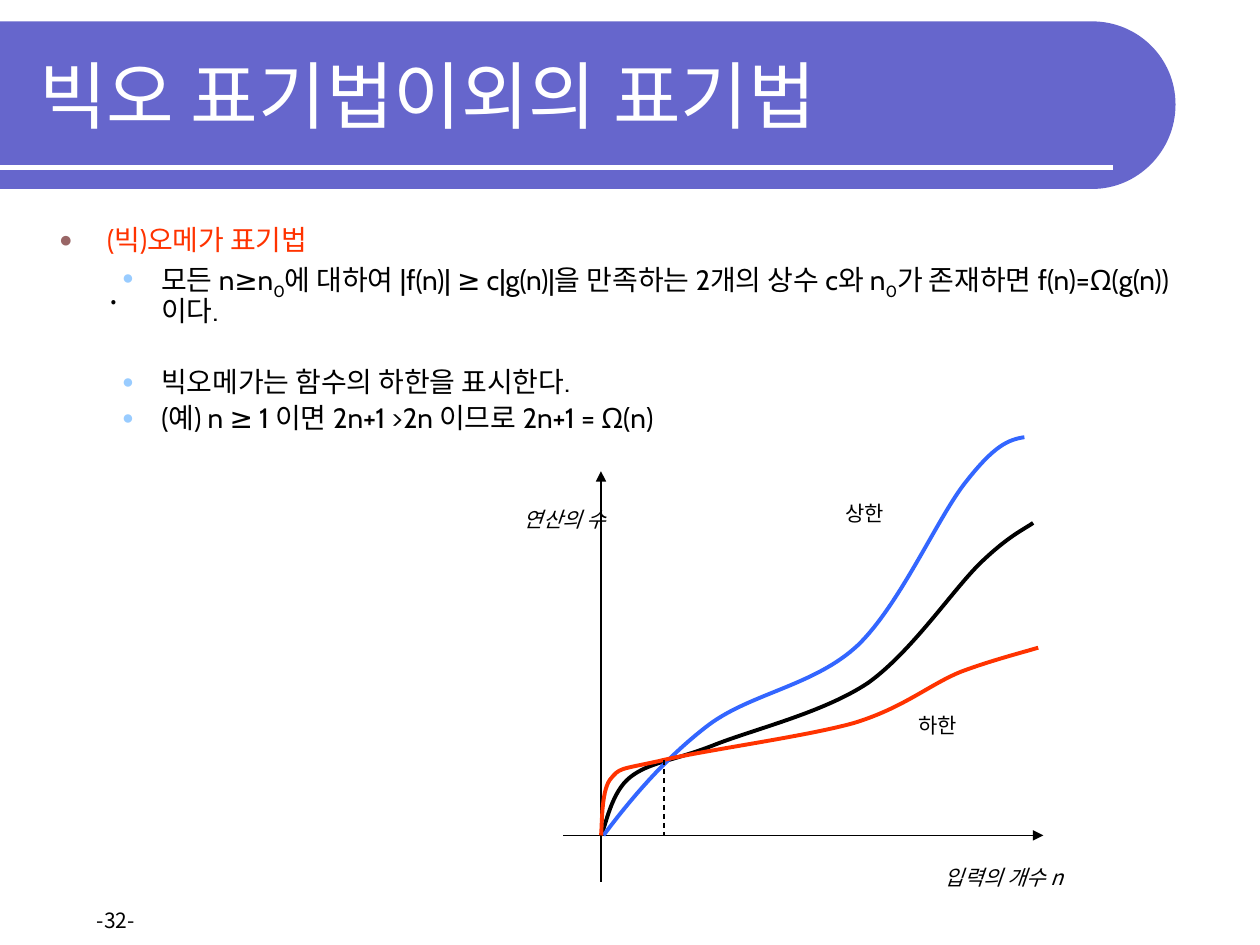
from pptx import Presentation
from pptx.dml.color import RGBColor
from pptx.enum.dml import MSO_LINE
from pptx.enum.shapes import MSO_CONNECTOR
from pptx.enum.text import MSO_ANCHOR, MSO_AUTO_SIZE, PP_ALIGN
from pptx.oxml.ns import qn
from pptx.util import Pt
from lxml.etree import SubElement

PX = 9144
WHITE = RGBColor(0xFF, 0xFF, 0xFF)
BLACK = RGBColor(0, 0, 0)
VIOLET = RGBColor(0x66, 0x66, 0xCC)
BLUE = RGBColor(0x33, 0x66, 0xFF)
RED = RGBColor(0xFF, 0x33, 0x00)
MAUVE = RGBColor(0x99, 0x66, 0x66)
SKY = RGBColor(0x99, 0xCC, 0xFF)
CABIN, NOTO = "Cabin", "Noto Sans CJK KR"


def add_run(p, text, size=16, font=CABIN, color=BLACK, italic=None, sub=False):
    r = p.add_run()
    r.text = text
    f = r.font
    f.size, f.name, f.italic = Pt(size), font, italic
    f.color.rgb = color
    rPr = r._r.get_or_add_rPr()
    SubElement(rPr, qn("a:ea"), typeface=CABIN)
    if sub:
        rPr.set("baseline", "-25000")


def bend(sp, first, count):
    segments = list(sp.element.iter(qn("a:lnTo")))[first:first + count]
    for i in range(0, count, 3):
        curve = segments[i].makeelement(qn("a:cubicBezTo"))
        segments[i].addprevious(curve)
        for seg in segments[i:i + 3]:
            curve.append(seg[0])
            seg.getparent().remove(seg)


class Deck:
    """Holds the presentation, its current slide and the drawing style."""

    def __init__(self):
        self.prs = Presentation()
        self.prs.slide_width, self.prs.slide_height = 1000 * PX, 750 * PX
        self.s = self.prs.slides.add_slide(self.prs.slide_layouts[1])

    def place(self, sp, x, y, w, h):
        sp.left, sp.top, sp.width, sp.height = (v * PX for v in (x, y, w, h))
        sp.text_frame.auto_size = MSO_AUTO_SIZE.NONE
        return sp.text_frame

    def title(self, text, box):
        tf = self.place(self.s.shapes.title, *box)
        tf.vertical_anchor = MSO_ANCHOR.MIDDLE
        p = tf.paragraphs[0]
        p.alignment = PP_ALIGN.LEFT
        add_run(p, text, size=42, color=WHITE)

    def body(self, items, box):
        tf = self.place(self.s.placeholders[1], *box)
        for i, (level, before, color, runs) in enumerate(items):
            p = tf.add_paragraph() if i else tf.paragraphs[0]
            left, hang, dot, pct = ((38, 38, MAUVE, 80), (81, 31, SKY, 70))[level]
            p.level, p.line_spacing, p.space_before = level, 0.9, Pt(before)
            pPr = p._p.get_or_add_pPr()
            pPr.set("marL", str(left * PX))
            pPr.set("indent", str(-hang * PX))
            SubElement(SubElement(pPr, qn("a:buClr")), qn("a:srgbClr"), val=str(dot))
            SubElement(pPr, qn("a:buSzPct"), val=str(pct * 1000))
            SubElement(pPr, qn("a:buChar"), char="●")
            for k, text in enumerate(runs):
                add_run(p, text, color=color, sub=k % 2 == 1)

    def label(self, text, box, size=12, italic=None, wrap=False):
        tf = self.place(self.s.shapes.add_textbox(0, 0, 0, 0), *box)
        tf.word_wrap = wrap
        add_run(tf.paragraphs[0], text, size=size, font=NOTO, italic=italic)

    def line(self, x1, y1, x2, y2, color=BLACK, width=0.75, arrow=None, dash=None):
        cx = self.s.shapes.add_connector(MSO_CONNECTOR.STRAIGHT, *(v * PX for v in (x1, y1, x2, y2)))
        cx.line.color.rgb, cx.line.width = color, Pt(width)
        if dash:
            cx.line.dash_style = dash
        if arrow:
            SubElement(cx.line._get_or_add_ln(), qn(arrow), type="triangle")
        SubElement(cx._element.spPr, qn("a:effectLst"))
        return cx

    def outline(self, points, fill=None):
        fb = self.s.shapes.build_freeform(*points[0], scale=PX)
        fb.add_line_segments(points[1:], close=fill is not None)
        sp = fb.convert_to_shape()
        sp.shadow.inherit = False
        return sp

    def curve(self, points, color):
        sp = self.outline(points)
        bend(sp, 0, len(points) - 1)
        sp.fill.background()
        sp.line.color.rgb, sp.line.width = color, Pt(2.25)

    def banner(self):
        band = self.outline([(0, 17), (867, 17), (903, 17), (933, 46), (933, 83),
                             (933, 120), (903, 150), (867, 150), (0, 150)], VIOLET)
        bend(band, 1, 6)
        band.fill.solid()
        band.fill.fore_color.rgb = VIOLET
        band.line.fill.background()
        rule = self.line(0, 133, 883, 133, WHITE, 3)
        for sp in (band, rule):
            self.s.shapes.title.element.addprevious(sp.element)


CURVES = (
    (BLACK, [(477, 663), (481, 655), (485, 629), (500, 617), (515, 605), (534, 604), (565, 592),
             (597, 579), (653, 566), (689, 542), (724, 517), (757, 467), (779, 446),
             (801, 425), (813, 420), (820, 415)]),
    (BLUE, [(479, 663), (503, 631), (530, 600), (563, 575), (597, 550), (647, 544), (681, 512),
            (715, 479), (745, 409), (767, 382), (789, 354), (800, 349), (813, 347)]),
    (RED, [(477, 663), (478, 656), (477, 629), (484, 619), (492, 609), (491, 611), (523, 604),
           (555, 596), (637, 585), (677, 574), (717, 562), (738, 543), (763, 533),
           (787, 524), (811, 518), (824, 514)]),
)
ITEMS = (
    (0, 0, RED, ["(빅)오메가 표기법"]),
    (1, 3.2, BLACK, ["모든 n≥n", "0", "에 대하여 |f(n)| ≥ c|g(n)|을 만족하는 2개의 상수 c와 n", "0",
                     "가 존재하면 f(n)=Ω(g(n))이다."]),
    (1, 23.5, BLACK, ["빅오메가는 함수의 하한을 표시한다."]),
    (1, 3.2, BLACK, ["(예) n ≥ 1 이면 2n+1 >2n 이므로 2n+1 = Ω(n)"]),
)


def main():
    d = Deck()
    d.banner()
    d.label("-32-", (67, 715, 63, 30))
    d.title("빅오 표기법이외의 표기법", (21, 25, 877, 100))
    d.label(".", (77, 212, 677, 40), size=18, wrap=True)
    d.body(ITEMS, (37, 175, 925, 180))
    d.line(477, 374, 477, 700, arrow="a:headEnd")
    d.line(447, 663, 828, 663, arrow="a:tailEnd")
    d.label("입력의 개수 n", (740, 681, 125, 30), italic=True)
    d.label("연산의 수", (406, 397, 92, 30), italic=True)
    for color, points in CURVES:
        d.curve(points, color)
    d.label("상한", (661, 392, 53, 30))
    d.label("하한", (719, 561, 53, 30))
    d.line(527, 603, 527, 663, dash=MSO_LINE.DASH)
    d.prs.save("out.pptx")


if __name__ == "__main__":
    main()
